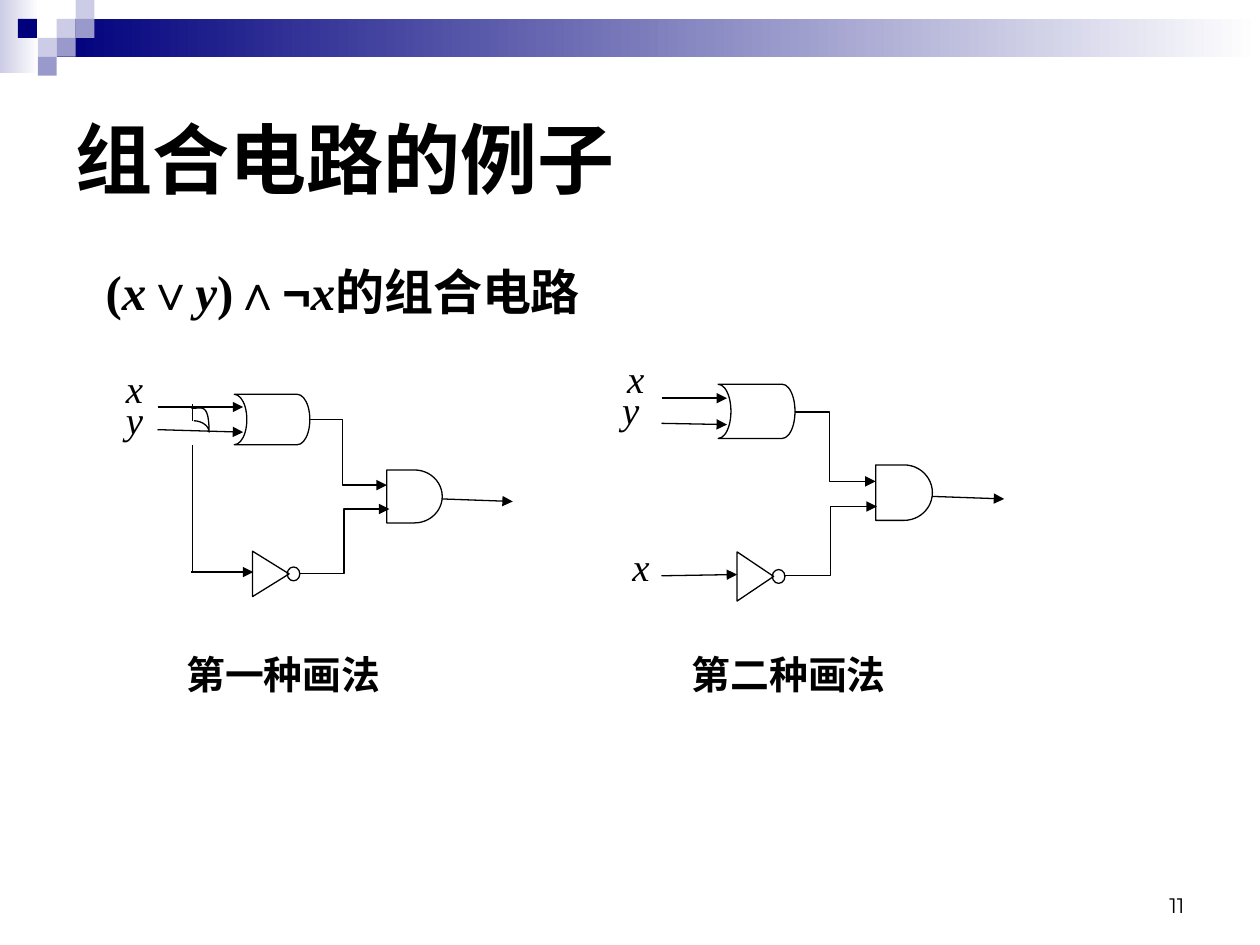
from pptx import Presentation
from pptx.dml.color import RGBColor
from pptx.enum.shapes import MSO_CONNECTOR as CONN, MSO_SHAPE as SHAPE
from pptx.enum.text import MSO_ANCHOR as ANCHOR, PP_ALIGN as ALIGN
from pptx.oxml.ns import qn
from pptx.util import Inches, Pt
from lxml import etree

BLACK = RGBColor(0x00, 0x00, 0x00)
WHITE = RGBColor(0xFF, 0xFF, 0xFF)
NAVY = RGBColor(0x00, 0x00, 0x7D)
LILAC = RGBColor(0xCC, 0xCC, 0xE6)
VIOLET = RGBColor(0x99, 0x99, 0xCC)
SERIF = "Times New Roman"


def add_text(s, box, runs, align=ALIGN.JUSTIFY, anchor=ANCHOR.TOP, spacing=1.0, **base):
    """Place one paragraph; runs are (text, extra font values)."""
    tf = s.shapes.add_textbox(*map(Inches, box)).text_frame
    tf.word_wrap, tf.vertical_anchor = True, anchor
    p = tf.paragraphs[0]
    p.alignment, p.line_spacing = align, spacing
    for text, extra in runs:
        r = p.add_run()
        r.text = text
        for key, value in {"name": SERIF, **base, **extra}.items():
            setattr(r.font, key, value)
        r.font.color.rgb = BLACK


def add_bar(s, box, *colors):
    """Rectangle with a solid fill, or a left-to-right gradient of two colours."""
    sp = s.shapes.add_shape(SHAPE.RECTANGLE, *map(Inches, box))
    sp.shadow.inherit = False
    sp.line.fill.background()
    if len(colors) == 1:
        sp.fill.solid()
        sp.fill.fore_color.rgb = colors[0]
        return
    sp.fill.gradient()
    sp.fill.gradient_angle = 0
    for stop, color, pos in zip(sp.fill.gradient_stops, colors, (0, 1)):
        stop.color.rgb, stop.position = color, pos


def outline(sp):
    sp.shadow.inherit = False
    sp.fill.background()
    sp.line.color.rgb, sp.line.width = BLACK, Pt(0.75)


def add_gate(s, kind, box, flip=False, rotation=0):
    sp = s.shapes.add_shape(kind, *map(Inches, box))
    outline(sp)
    sp.rotation = rotation
    if flip:
        sp._element.spPr.find(qn("a:xfrm")).set("flipH", "1")


def add_wire(s, start, end, bend=None, arrow=True):
    """Straight wire, or an elbow turning at the share bend of its width."""
    kind = CONN.STRAIGHT if bend is None else CONN.ELBOW
    c = s.shapes.add_connector(kind, *map(Inches, (*start, *end)))
    c.line.color.rgb, c.line.width = BLACK, Pt(0.75)
    spPr = c._element.spPr
    if bend is not None:
        av = spPr.find(qn("a:prstGeom")).get_or_add_avLst()
        etree.SubElement(av, qn("a:gd"), name="adj1", fmla=f"val {round(bend * 100000)}")
    if arrow:
        etree.SubElement(c.line._get_or_add_ln(), qn("a:tailEnd"), type="triangle")
    etree.SubElement(spPr, qn("a:effectLst"))


def add_hop(s, left, top):
    """Curved hop of the branch over the y wire."""
    curves = [((0.02, 0.1), (0.08, 0.1), (0.14, 0.14), (0.14, 0.19)),
              ((0.14, 0.19), (0.14, -0.04), (0.08, 0), (0.02, 0)),
              ((0.02, 0), (0.01, 0), (0.01, 0), (0, 0))]
    points = []
    for curve in curves:
        for t in (i / 12 for i in range(13)):
            weights = ((1 - t) ** 3, 3 * t * (1 - t) ** 2, 3 * t * t * (1 - t), t ** 3)
            points.append(tuple(Inches(base + sum(w * pt[axis] for w, pt in zip(weights, curve)))
                                for axis, base in enumerate((left, top))))
    builder = s.shapes.build_freeform(*points[0])
    builder.add_line_segments(points[1:], close=False)
    outline(builder.convert_to_shape())


def add_header(s, left, top):
    """Gradient bar with the checkered corner."""
    add_bar(s, (left, top, 0.31, 0.58), LILAC, WHITE)
    add_bar(s, (left + 0.45, top + 0.15, 9.55, 0.3), NAVY, WHITE)
    cell = 0.15
    squares = [(3, 1, LILAC), (4, 0, LILAC), (4, 1, VIOLET), (2, 2, LILAC),
               (0.95, 1, NAVY), (3, 2, VIOLET), (2, 3, VIOLET)]
    for col, row, color in squares:
        add_bar(s, (left + col * cell, top + row * cell, cell, cell), color)


def add_circuit(s, left, top, gates, wires, labels, caption):
    """Draw a circuit; all positions are relative to left, top."""
    def at(x, y):
        return left + x, top + y

    kinds = {"or": (SHAPE.FLOWCHART_STORED_DATA, {"flip": True}),
             "and": (SHAPE.FLOWCHART_DELAY, {}),
             "not": (SHAPE.ISOSCELES_TRIANGLE, {"rotation": 90}),
             "bubble": (SHAPE.OVAL, {})}
    for name, (x, y, w, h) in gates.items():
        kind, options = kinds[name]
        add_gate(s, kind, (*at(x, y), w, h), **options)
    for start, end, *options in wires:
        add_wire(s, at(*start), at(*end), *options)
    for name, x, y in labels:
        add_text(s, (*at(x, y), 0.43, 0.47), [(name, {})], spacing=0.9,
                 size=Pt(22.2), italic=True)
    text, x, y = caption
    add_text(s, (*at(x, y), 1.9, 0.47), [(text, {})], spacing=0.9, size=Pt(22.2), bold=True)


def add_shared_input_circuit(s, left, top):
    """First drawing: x branches off to the inverter."""
    add_circuit(
        s, left, top,
        gates={"or": (0.61, 0, 0.6, 0.4), "and": (1.82, 0.6, 0.44, 0.42),
               "not": (0.72, 1.28, 0.36, 0.29), "bubble": (1.03, 1.37, 0.1, 0.11)},
        wires=[((0, 0.1), (0.68, 0.1)), ((0, 0.28), (0.68, 0.3)),
               ((0.27, 1.41), (0.76, 1.41)), ((2.26, 0.83), (2.82, 0.85)),
               ((1.2, 0.2), (1.82, 0.72), 0.43), ((1.12, 1.42), (1.84, 0.91), 0.5),
               ((0.28, 0.08), (0.28, 0.21), None, False),
               ((0.28, 0.4), (0.28, 1.4), None, False)],
        labels=[("x", -0.35, -0.24), ("y", -0.35, 0)],
        caption=("第一种画法", 0.13, 2.03))
    add_hop(s, left + 0.27, top + 0.11)


def add_separate_input_circuit(s, left, top):
    """Second drawing: x is entered twice."""
    add_circuit(
        s, left, top,
        gates={"or": (0.45, 0, 0.61, 0.43), "and": (1.7, 0.64, 0.45, 0.44),
               "not": (0.55, 1.38, 0.39, 0.29), "bubble": (0.88, 1.47, 0.1, 0.11)},
        wires=[((0, 0.11), (0.52, 0.11)), ((0, 0.31), (0.52, 0.32)),
               ((0, 1.52), (0.6, 1.51)), ((2.15, 0.89), (2.72, 0.91)),
               ((1.06, 0.22), (1.7, 0.77), 0.43), ((0.97, 1.52), (1.71, 0.97), 0.5)],
        labels=[("x", -0.37, -0.24), ("y", -0.41, 0), ("x", -0.33, 1.25)],
        caption=("第二种画法", 0.14, 2.11))


def add_formula(s, box):
    italic = {"italic": True}
    runs = [("(", {}), ("x", italic), ("∨", {}), ("y", italic), (")∧", {}),
            ("¬", {"name": "Arial"}), ("x", italic), ("的组合电路", {})]
    add_text(s, box, runs, size=Pt(28), bold=True)


def main():
    prs = Presentation()
    prs.slide_width, prs.slide_height = Inches(10), Inches(7.5)
    s = prs.slides.add_slide(prs.slide_layouts[6])
    add_header(s, 0, 0)
    # Title and page number
    add_text(s, (0.5, 0.5, 9, 1.5), [("组合电路的例子", {})], ALIGN.LEFT, ANCHOR.MIDDLE,
             name="Arial", size=Pt(44), bold=True)
    add_text(s, (7.17, 6.83, 2.33, 0.5), [("11", {})], ALIGN.RIGHT, ANCHOR.BOTTOM,
             name="Montserrat", size=Pt(12))
    # Formula and its two circuits
    add_formula(s, (0.74, 2.03, 8.48, 0.7))
    add_shared_input_circuit(s, 1.25, 3.13)
    add_separate_input_circuit(s, 5.25, 3.05)
    prs.save("out.pptx")


if __name__ == "__main__":
    main()
